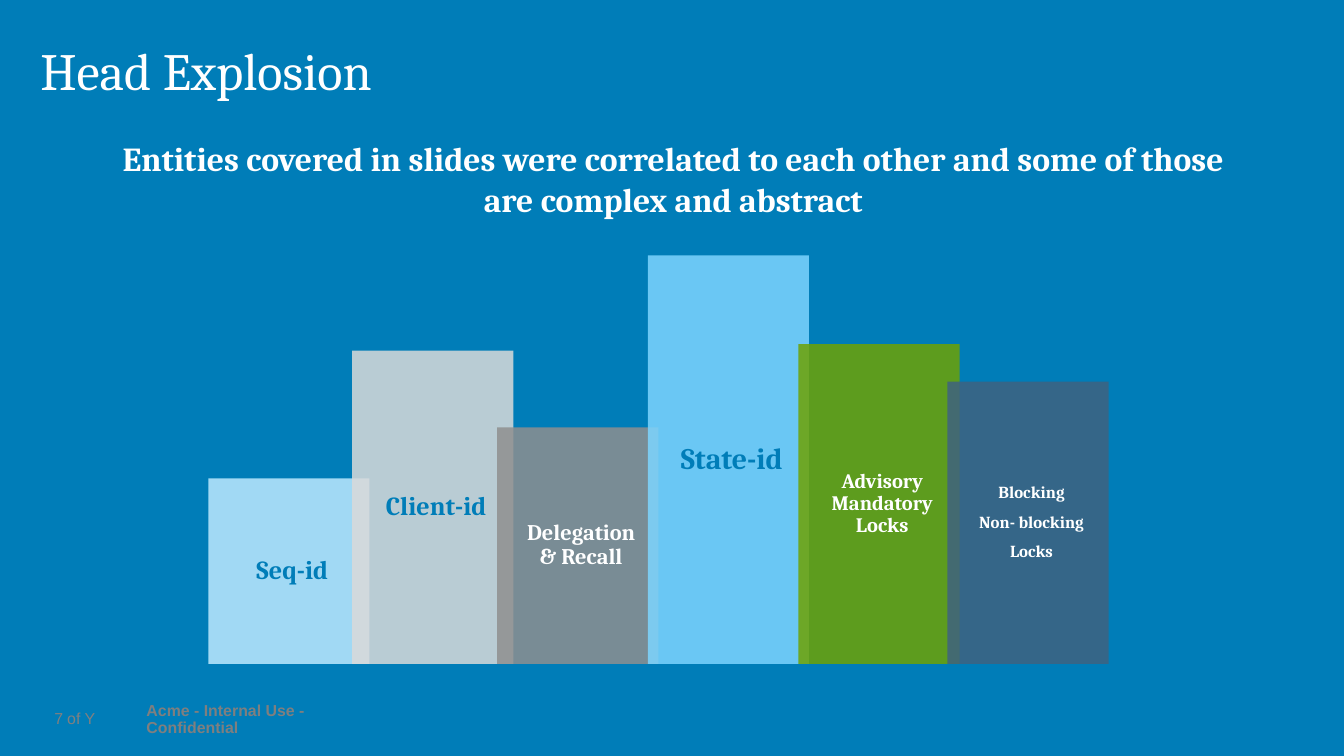
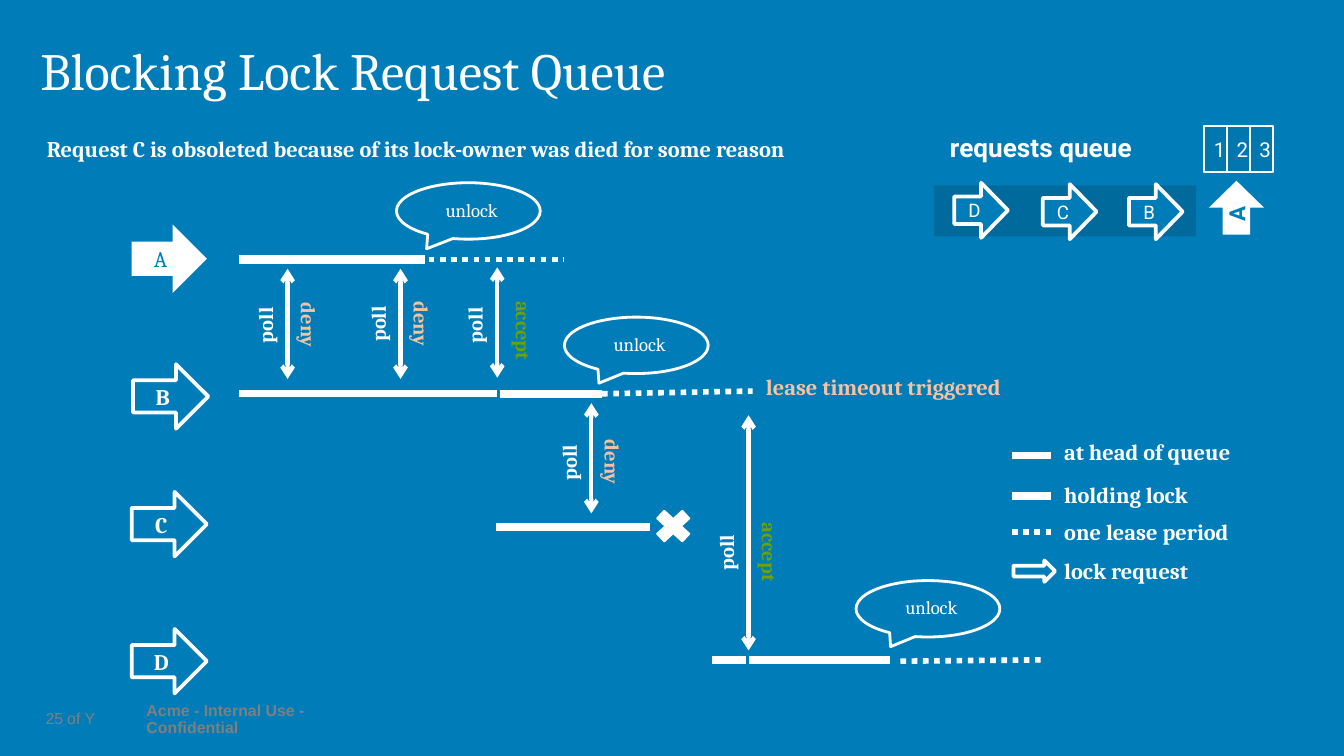
from dataclasses import dataclass

from lxml import etree
from pptx import Presentation
from pptx.dml.color import RGBColor
from pptx.enum.dml import MSO_LINE
from pptx.enum.shapes import MSO_CONNECTOR, MSO_SHAPE
from pptx.enum.text import MSO_ANCHOR, MSO_AUTO_SIZE, PP_ALIGN
from pptx.oxml.ns import qn
from pptx.util import Emu, Pt

PX = 9144  # 100 px to the inch
RECT, ARROW = MSO_SHAPE.RECTANGLE, MSO_SHAPE.RIGHT_ARROW
CROSS, BUBBLE = MSO_SHAPE.MATH_MULTIPLY, MSO_SHAPE.OVAL_CALLOUT
LEFT, MID, RIGHT = PP_ALIGN.LEFT, PP_ALIGN.CENTER, PP_ALIGN.RIGHT
TOP, MIDDLE = MSO_ANCHOR.TOP, MSO_ANCHOR.MIDDLE
GROW, FIXED = MSO_AUTO_SIZE.SHAPE_TO_FIT_TEXT, MSO_AUTO_SIZE.NONE
DOTS, STRAIGHT = MSO_LINE.ROUND_DOT, MSO_CONNECTOR.STRAIGHT


@dataclass(frozen=True)
class Theme:
    blue: str = "007DB8"
    deep: str = "006A9C"
    cell: str = "0077AF"
    white: str = "FFFFFF"
    peach: str = "F8C1A0"
    green: str = "6EA204"
    sky: str = "7DD5FF"
    pale: str = "BEEAFF"
    mist: str = "DADADA"
    grey: str = "8F8F8F"
    slate: str = "3F6280"
    foot: str = "808080"
    mark: str = "7F7F7F"
    serif: str = "Cambria"
    sans: str = "Roboto"
    plain: str = "Arial"
    title: float = 28
    lead: float = 18
    head: float = 14
    text: float = 12
    note: float = 11
    small: float = 10
    tiny: float = 8.5


T = Theme()
ROOMY = (20, 15, 15, 15)
USUAL = (10, 5, 10, 5)
BARE = (0, 0, 0, 0)

# Line looks: width in points, dotted or not
WAIT, HOLD, LEASE, POLL = (4, False), (4.5, False), (3, True), (2.25, False)


def emu(*nums):
    return [Emu(round(n * PX)) for n in nums]


def inside(box, x, y, w, h):
    return box[0] + x, box[1] + y, w, h


def apply(item, values):
    for name, value in values.items():
        setattr(item, name, value)


def write(frame, text, size, color=T.white, bold=False, face=T.serif,
          align=LEFT, anchor=TOP, pad=USUAL, wrap=True, fit=GROW,
          lead=None, gap=0):
    """Fill a text frame, one paragraph for each line of text."""
    sides = ("margin_left", "margin_top", "margin_right", "margin_bottom")
    apply(frame, dict(zip(sides, emu(*pad))))
    apply(frame, {"word_wrap": wrap, "auto_size": fit,
                  "vertical_anchor": anchor})
    for i, line in enumerate(text.split("\n")):
        para = frame.add_paragraph() if i else frame.paragraphs[0]
        para.text = line
        apply(para, {"alignment": align, "line_spacing": lead,
                     "space_before": Pt(gap if i else 0)})
        apply(para.font, {"name": face, "size": Pt(size), "bold": bold})
        para.font.color.rgb = RGBColor.from_string(color)


def label(slide, rect, text, size, turn=0, **look):
    box = slide.shapes.add_textbox(*emu(*rect))
    box.rotation = turn
    write(box.text_frame, text, size, **look)


def block(slide, kind, rect, fill=None, edge=0, alpha=None):
    """Add a preset shape; edge is the width of its white outline."""
    item = slide.shapes.add_shape(kind, *emu(*rect))
    item.shadow.inherit = False
    if fill:
        item.fill.solid()
        item.fill.fore_color.rgb = RGBColor.from_string(fill)
    else:
        item.fill.background()
    if alpha:
        tint = item.element.spPr.find(".//" + qn("a:srgbClr"))
        etree.SubElement(tint, qn("a:alpha"), val=str(alpha * 1000))
    if edge:
        item.line.width = Pt(edge)
        item.line.color.rgb = RGBColor.from_string(T.white)
    else:
        item.line.fill.background()
    return item


def sign(slide, kind, rect, text, size, fill=T.blue, edge=2, turn=0, **look):
    """Add a preset shape with centred text."""
    item = block(slide, kind, rect, fill, edge)
    item.rotation = turn
    write(item.text_frame, text, size, align=MID, anchor=MIDDLE, fit=FIXED,
          **look)
    return item


def stroke(slide, box, x1, y1, x2, y2, look, heads=False):
    x, y = box[:2]
    line = slide.shapes.add_connector(
        STRAIGHT, *emu(x + x1, y + y1, x + x2, y + y2))
    width, dotted = look
    line.line.width = Pt(width)
    line.line.color.rgb = RGBColor.from_string(T.white)
    if dotted:
        line.line.dash_style = DOTS
    props = line.element.spPr
    if heads:
        for end in ("a:headEnd", "a:tailEnd"):
            etree.SubElement(props.find(qn("a:ln")), qn(end), type="arrow")
    etree.SubElement(props, qn("a:effectLst"))


def start(prs, title, number):
    """Add a slide with the shared title and footer."""
    slide = prs.slides.add_slide(prs.slide_layouts[5])
    head = slide.shapes.title
    places = ("left", "top", "width", "height")
    apply(head, dict(zip(places, emu(30, 29, 870, 70))))
    write(head.text_frame, title, T.title, pad=(0, 5, 0, 5), fit=FIXED,
          lead=0.9)
    foot = (32, 529, 257, 13)
    for x, w, text, color, bold, align in (
            (77, 180, "Acme - Internal Use - Confidential", T.mark, True, LEFT),
            (0, 15, number, T.foot, False, RIGHT),
            (18, 21, "of Y", T.foot, False, LEFT)):
        label(slide, inside(foot, x, 0, w, 13), text, T.tiny, color=color,
              bold=bold, face=T.plain, align=align, anchor=MIDDLE, pad=BARE,
              wrap=False, lead=0.9)
    return slide


def bars(slide, box):
    """Overlapping bars that stand on the bottom of the box."""
    for x, high, fill, text, size, color in (
            (0, 138, T.pale, "Seq-id", 14, T.blue),
            (107, 233, T.mist, "Client-id", 14, T.blue),
            (215, 176, T.grey, "Delegation & Recall", 12, T.white),
            (327, 304, T.sky, "State-id", 16, T.blue),
            (439, 238, T.green, "Advisory Mandatory Locks", 11, T.white),
            (550, 210, T.slate, "Blocking\nNon- blocking\nLocks", 9, T.white)):
        rect = inside(box, x, box[3] - high, 120, high)
        bar = block(slide, RECT, rect, fill, alpha=85)
        write(bar.text_frame, text, size, color=color, bold=True, align=MID,
              anchor=MIDDLE, pad=ROOMY, fit=FIXED, lead=0.9, gap=6)


def poll(slide, box, x, top, end, mid, answer, shift=15, drop=0):
    """Double arrow with the question on its left, the answer on its right."""
    stroke(slide, box, x, top, x, end, POLL, heads=True)
    wide, color = (67, T.peach) if answer == "deny" else (88, T.green)
    for text, w, dx, dy, turn, ink in (
            ("poll", 56, -16, 0, 270, T.white),
            (answer, wide, shift, drop, 90, color)):
        rect = inside(box, x + dx - w / 2, mid + dy - 15, w, 30)
        label(slide, rect, text, T.note, turn, color=ink, bold=True, align=MID)


def times(slide, box):
    """Time lines of the four requests."""
    for line in (
            (88, 63, 226, 63, HOLD), (229, 63, 330, 63, LEASE),
            (88, 163, 280, 163, WAIT), (282, 163, 358, 163, HOLD),
            (358, 163, 470, 161, LEASE), (279, 262, 394, 262, WAIT),
            (440, 361, 465, 361, WAIT), (467, 361, 572, 361, HOLD),
            (580, 362, 686, 361, LEASE)):
        stroke(slide, box, *line)
    for item in (
            (124, 70, 152, 112, "deny"), (208, 70, 152, 111, "deny"),
            (280, 69, 151, 112, "accept", 19, 4),
            (350, 170, 252, 214, "deny"), (467, 179, 354, 281, "accept")):
        poll(slide, box, *item)
    block(slide, CROSS, inside(box, 393, 245, 36, 33), T.white, 1)

    # Requests
    sign(slide, ARROW, inside(box, 8, 37, 56, 51), "A", T.text, T.white, 0,
         color=T.blue)
    for name, x, y in (("B", 9, 141), ("C", 8, 236), ("D", 8, 338)):
        sign(slide, ARROW, inside(box, x, y, 56, 48), name, T.text, bold=True)

    # Unlock events
    label(slide, inside(box, 470, 143, 209, 30), "lease timeout triggered",
          T.text, color=T.peach, bold=True)
    for x, y, tip in ((205, 6, -0.29), (330, 106, -0.26), (547, 302, -0.26)):
        call = sign(slide, BUBBLE, inside(box, x, y, 107, 42), "unlock",
                    T.small, None, 1.5, pad=ROOMY, lead=0.9)
        call.adjustments[0], call.adjustments[1] = tip, 0.67


def legend(slide, box):
    """Key to the line looks."""
    for y, w, text in ((0, 166, "at head of queue"), (32, 133, "holding lock"),
                       (60, 162, "one lease period"), (89, 133, "lock request")):
        label(slide, inside(box, 29, y, w, 30), text, T.text, bold=True)
    for y, end, look in ((18, 29, WAIT), (48, 29, HOLD), (75, 32, LEASE)):
        stroke(slide, box, 0, y, end, y, look)
    block(slide, ARROW, inside(box, 1, 96, 31, 16), T.blue, 2)


def queue(slide, box):
    """Waiting requests and the slots they move to."""
    block(slide, RECT, inside(box, 0, 45, 195, 38), T.deep)
    for name, x, y in (("B", 145, 44), ("C", 81, 44), ("D", 15, 43)):
        sign(slide, ARROW, inside(box, x, y, 40, 41), name, T.small,
             face=T.sans)
    sign(slide, ARROW, inside(box, 205, 41, 40, 41), "A", T.text, T.white, 0,
         270, color=T.blue, bold=True, face=T.sans)
    label(slide, inside(box, 2, 0, 163, 34), "requests queue", T.head,
          bold=True, face=T.sans)
    for i in range(3):
        sign(slide, RECT, inside(box, 201 + 17 * i, 1, 17, 34), str(i + 1),
             T.note, T.cell, 1, face=T.sans)


def main():
    prs = Presentation()
    prs.slide_width, prs.slide_height = emu(1000, 562.5)
    back = prs.slide_master.background.fill
    back.solid()
    back.fore_color.rgb = RGBColor.from_string(T.blue)

    slide = start(prs, "Head Explosion", "7")
    bars(slide, (155, 190, 670, 304))
    label(slide, (72, 98, 858, 71),
          "Entities covered in slides were correlated to each other and some "
          "of those are complex and abstract", T.lead, bold=True, align=MID)

    slide = start(prs, "Blocking Lock Request Queue", "25")
    times(slide, (90, 130, 690, 390))
    legend(slide, (753, 321, 195, 119))
    queue(slide, (695, 93, 252, 85))
    label(slide, (25, 96, 587, 30),
          "Request C is obsoleted because of its lock-owner was died for some "
          "reason", T.text, bold=True)
    prs.save("out.pptx")


if __name__ == "__main__":
    main()
